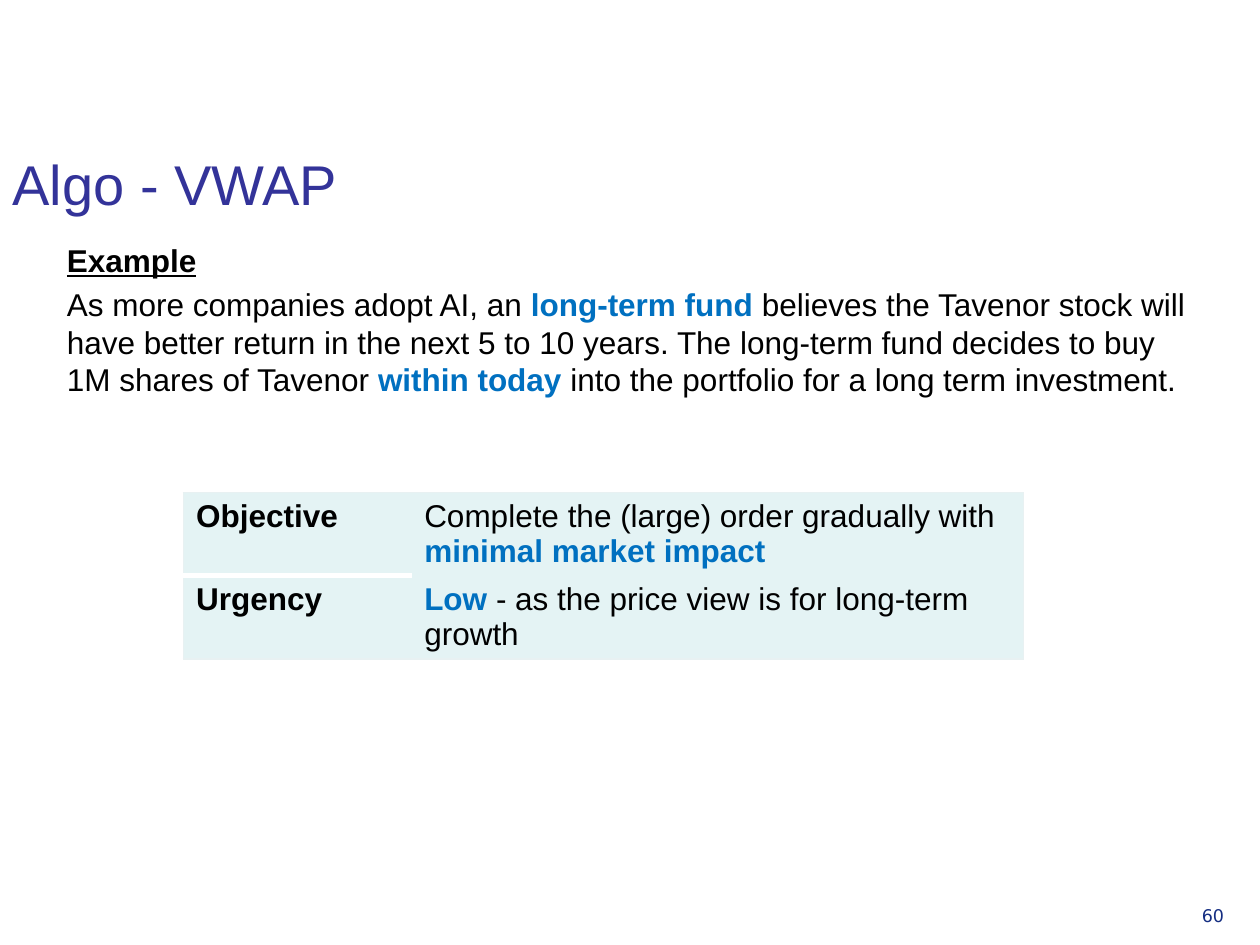
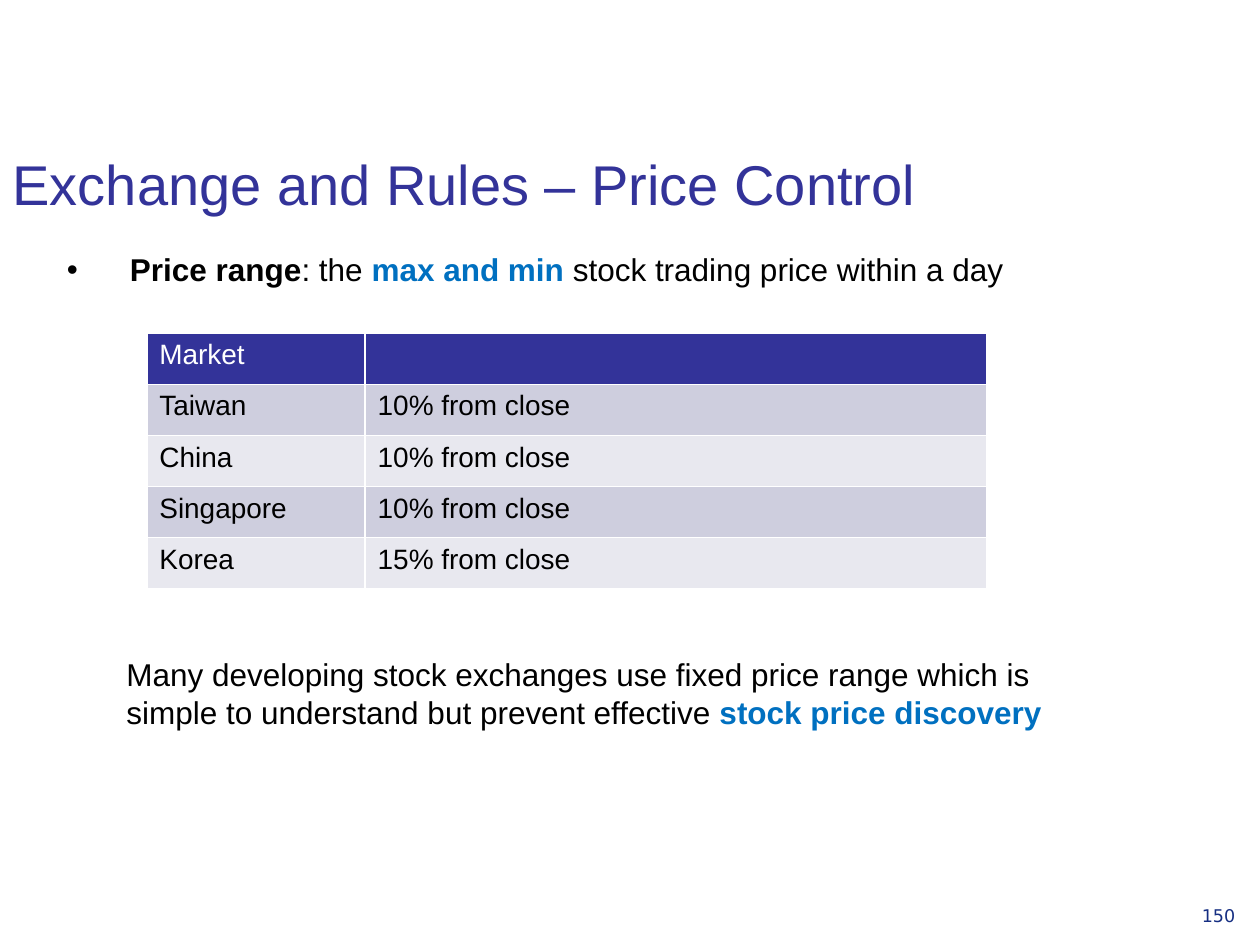
from lxml import etree
from pptx import Presentation
from pptx.dml.color import RGBColor
from pptx.enum.text import MSO_ANCHOR, MSO_AUTO_SIZE, PP_ALIGN
from pptx.oxml.ns import qn
from pptx.util import Cm, Pt

LEFT = PP_ALIGN.LEFT
BOTTOM = MSO_ANCHOR.BOTTOM
NO_FIT, GROW = MSO_AUTO_SIZE.NONE, MSO_AUTO_SIZE.SHAPE_TO_FIT_TEXT
TITLE_ONLY = 5

COLORS = {
    "title": "333399",
    "number": "152E82",
    "text": "000000",
    "key": "0070C0",
    "white": "FFFFFF",
    "mint": "E4F3F4",
    "mint_edge": "E8F1F2",
    "band_dark": "CECEDE",
    "band_light": "E8E8EF",
}
FONT = "Arial"
NUMBER_FONT = "DejaVu Sans"

# Run styles: colour, bold, underline
STYLES = {
    "plain": ("text", False, False),
    "bold": ("text", True, False),
    "key": ("key", True, False),
    "heading": ("text", True, True),
    "header": ("white", False, False),
    "title": ("title", False, False),
    "number": ("number", False, False),
}

TITLE_BOX = (0, 1.73, 22.43, 2.77)
NUMBER_BOX = (23.98, 18.12, 1.4, 0.99)
ROW_HEIGHT = 1.03


def rgb(name):
    return RGBColor.from_string(COLORS[name])


def add_spans(para, spans, size=18, font=FONT):
    """Add (text, style) pairs to a paragraph as runs."""
    for text, style in spans:
        color, bold, underline = STYLES[style]
        span = para.add_run()
        span.text = text
        span.font.name = font
        span.font.size = Pt(size)
        span.font.color.rgb = rgb(color)
        span.font.bold = bold
        span.font.underline = underline


def add_text(page, box, paragraphs, size=18, font=FONT, fit=NO_FIT):
    shape = page.shapes.add_textbox(*map(Cm, box))
    frame = shape.text_frame
    frame.word_wrap = True
    frame.auto_size = fit
    for index, spans in enumerate(paragraphs):
        para = frame.add_paragraph() if index else frame.paragraphs[0]
        if index:
            para.space_before = Pt(0.2 * size)
        add_spans(para, spans, size, font)
    return frame


def add_bullet(para, indent):
    properties = para._p.get_or_add_pPr()
    properties.set("marL", str(Cm(indent)))
    properties.set("indent", str(-Cm(indent)))
    etree.SubElement(properties, qn("a:buFont")).set("typeface", FONT)
    etree.SubElement(properties, qn("a:buChar")).set("char", "•")


def set_borders(cell, edges):
    """Draw the edges given as {side: (colour, points)}; clear the others."""
    properties = cell._tc.get_or_add_tcPr()
    for side in "LRTB":
        line = etree.SubElement(properties, qn(f"a:ln{side}"))
        if side in edges:
            color, points = edges[side]
            line.set("w", str(Pt(points)))
            fill = etree.SubElement(line, qn("a:solidFill"))
            etree.SubElement(fill, qn("a:srgbClr")).set("val", COLORS[color])
        else:
            etree.SubElement(line, qn("a:noFill"))


def add_table(page, box, widths, rows, size, fills, edges_at):
    """Fill a table from rows of span lists; edges_at(row, column) gives borders."""
    frame = page.shapes.add_table(len(rows), len(widths), *map(Cm, box))
    table = frame.table
    table.first_row = table.horz_banding = False
    for column, width in zip(table.columns, widths):
        column.width = Cm(width)
    for r, (row, fill) in enumerate(zip(rows, fills)):
        table.rows[r].height = Cm(ROW_HEIGHT)
        for c, spans in enumerate(row):
            cell = table.cell(r, c)
            set_borders(cell, edges_at(r, c))
            cell.fill.solid()
            cell.fill.fore_color.rgb = rgb(fill)
            add_spans(cell.text_frame.paragraphs[0], spans, size)


def add_page(deck, title, number):
    page = deck.slides.add_slide(deck.slide_layouts[TITLE_ONLY])
    shape = page.shapes.title
    shape.left, shape.top, shape.width, shape.height = map(Cm, TITLE_BOX)
    frame = shape.text_frame
    frame.auto_size = NO_FIT
    frame.vertical_anchor = BOTTOM
    frame.paragraphs[0].alignment = LEFT
    add_spans(frame.paragraphs[0], [(title, "title")], 32)
    add_text(page, NUMBER_BOX, [[(str(number), "number")]], 10, NUMBER_FONT)
    return page


def objective_table(page, box):
    rows = [
        [[("Objective", "bold")],
         [("Complete the (large) order gradually with ", "plain"),
          ("minimal market impact", "key")]],
        [[("Urgency", "bold")],
         [("Low ", "key"),
          ("- as the price view is for long-term growth", "plain")]],
    ]

    def outline(row, column):
        outer = ("mint_edge", 0.75)
        edges = {"LR"[column]: outer, "TB"[row]: outer}
        if column == 0:
            edges["BT"[row]] = ("white", 3)
        return edges

    add_table(page, box, (4.6, 12.34), rows, 18, ["mint"] * 2, outline)


def price_range_table(page, box):
    limits = {"Taiwan": 10, "China": 10, "Singapore": 10, "Korea": 15}
    rows = [[[("Market", "header")], []]]
    rows += [[[(market, "plain")], [(f"{limit}% from close", "plain")]]
             for market, limit in limits.items()]
    fills = ["title"] + ["band_dark", "band_light"] * 2
    grid = {side: ("white", 1) for side in "LRTB"}
    add_table(page, box, (4.4, 12.53), rows, 16, fills, lambda row, column: grid)


def vwap_page(deck):
    page = add_page(deck, "Algo - VWAP", 60)
    add_text(page, (1.1, 4.73, 23.19, 12.19), [
        [("Example", "heading")],
        [("As more companies adopt AI, an ", "plain"),
         ("long-term fund ", "key"),
         ("believes the Tavenor stock will have better return in the next "
          "5 to 10 years. The long-term fund decides to buy 1M shares of "
          "Tavenor ", "plain"),
         ("within today ", "key"),
         ("into the portfolio for a long term investment.", "plain")],
    ])
    objective_table(page, (3.7, 9.93, 16.94, 2 * ROW_HEIGHT))


def price_control_page(deck):
    page = add_page(deck, "Exchange and Rules – Price Control", 150)
    definition = add_text(page, (1.1, 4.92, 24, 1.6), [
        [("Price range", "bold"), (": the ", "plain"),
         ("max and min ", "key"),
         ("stock trading price within a day", "plain")],
    ])
    add_bullet(definition.paragraphs[0], 1.27)
    price_range_table(page, (2.96, 6.72, 16.93, 5 * ROW_HEIGHT))
    add_text(page, (2.3, 13.08, 19.53, 1.8), [
        [("Many developing stock exchanges use fixed price range which is "
          "simple to understand but prevent effective ", "plain"),
         ("stock price discovery", "key")],
    ], fit=GROW)


def main():
    deck = Presentation()
    deck.slide_width, deck.slide_height = Cm(25.4), Cm(19.05)
    vwap_page(deck)
    price_control_page(deck)
    deck.save("out.pptx")


if __name__ == "__main__":
    main()
